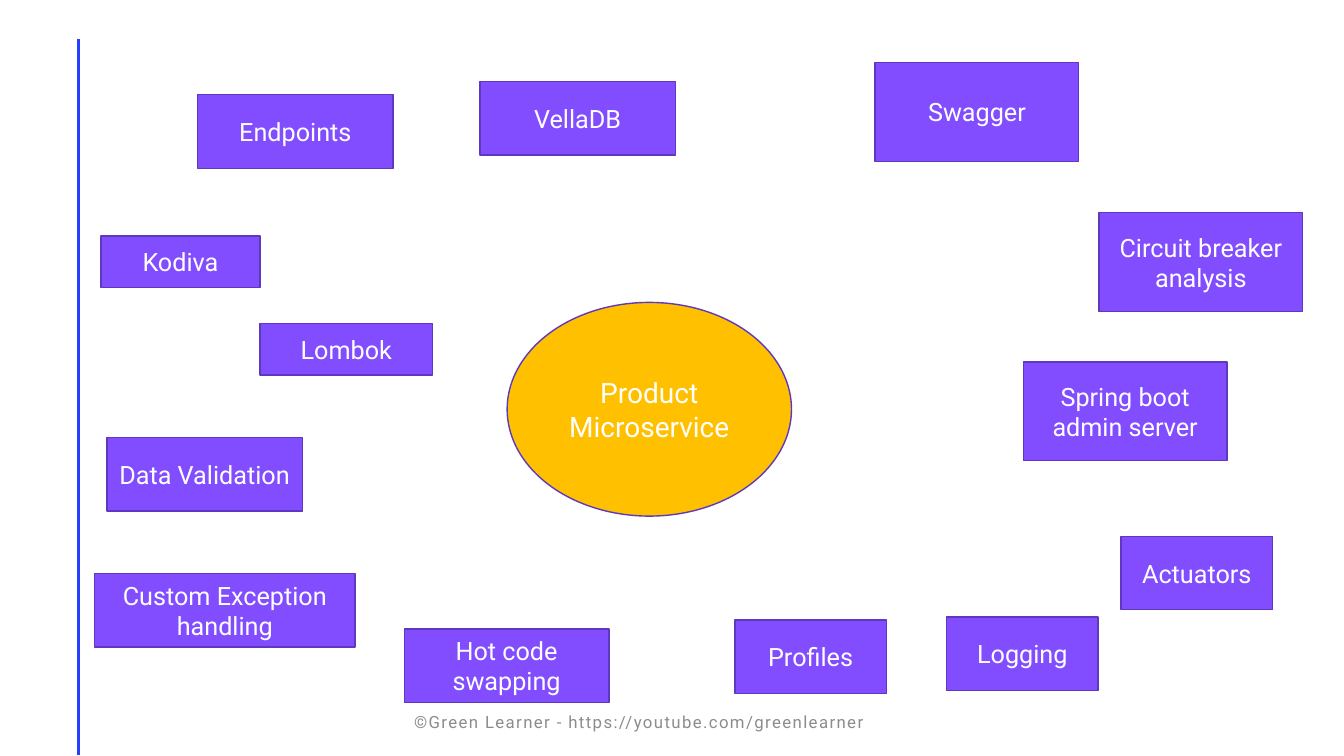
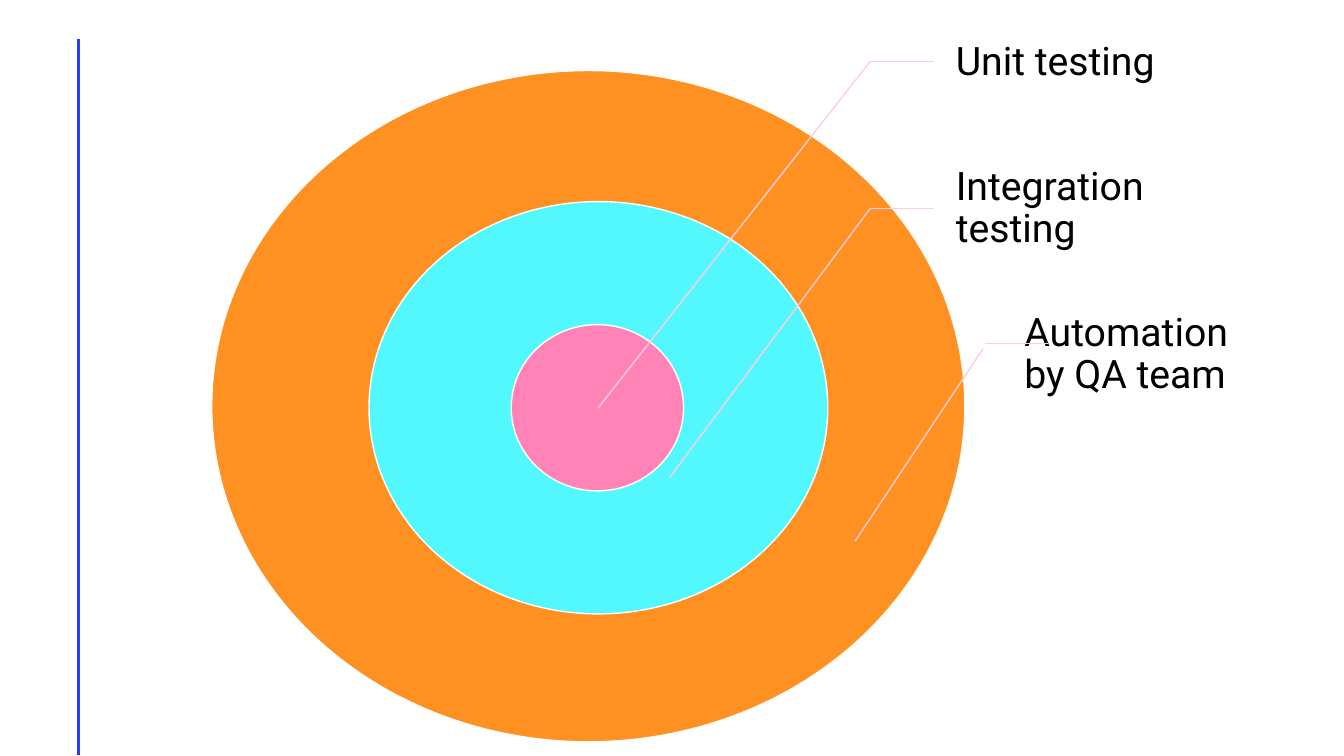
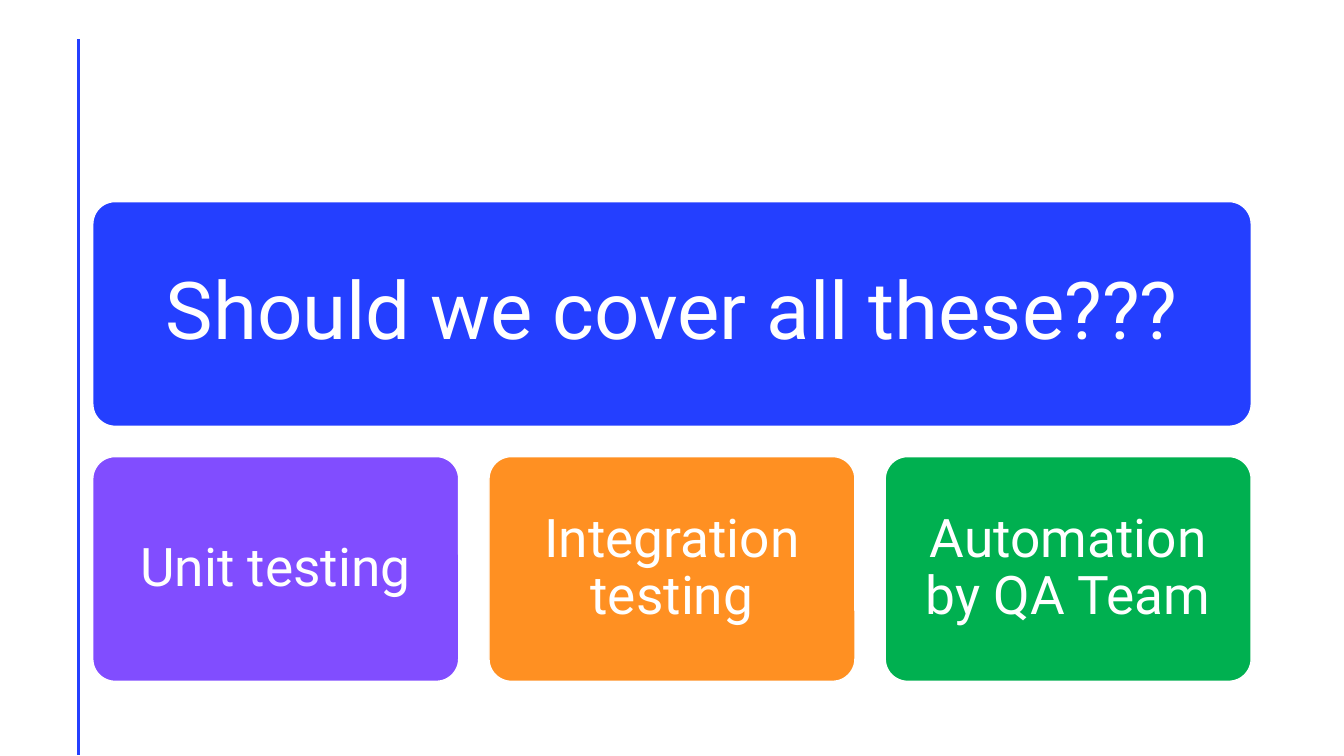
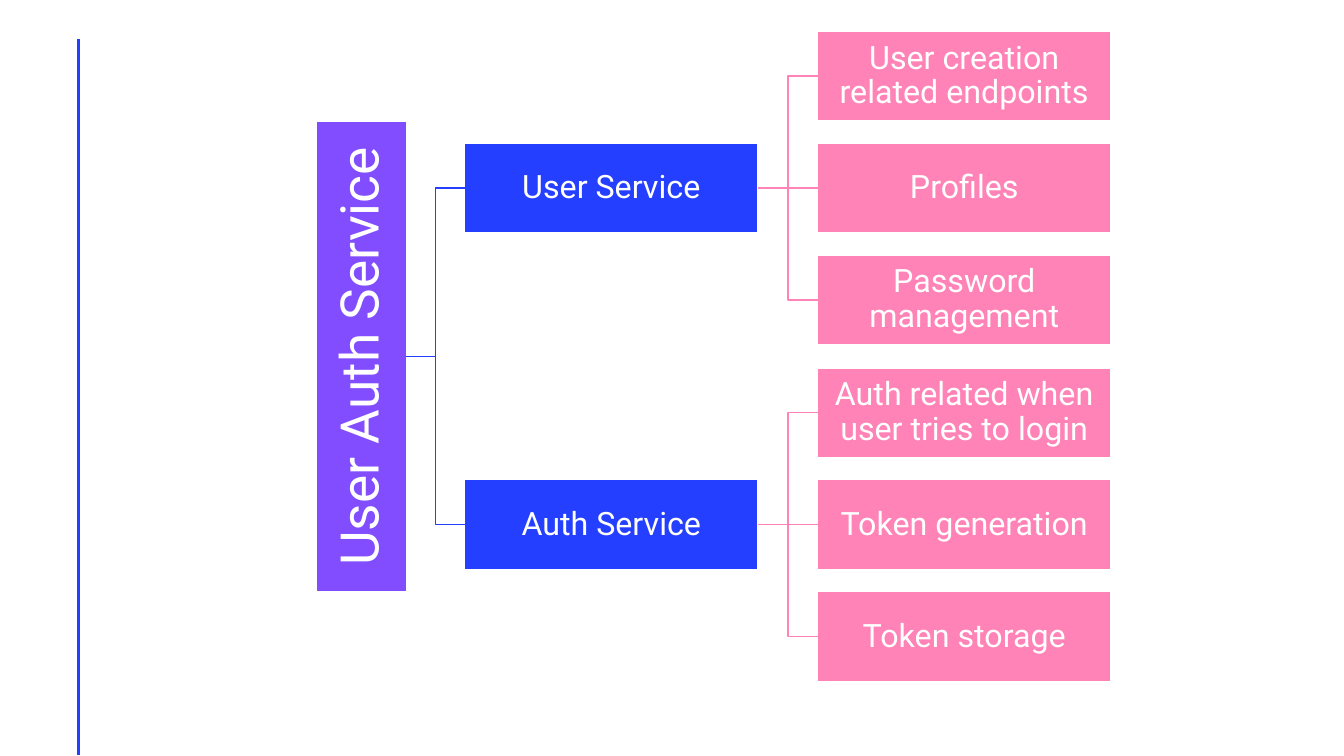
from dataclasses import dataclass
from typing import NamedTuple

from lxml.etree import SubElement
from pptx import Presentation
from pptx.dml.color import RGBColor
from pptx.enum.shapes import MSO_CONNECTOR as Connector, MSO_SHAPE as Preset
from pptx.enum.text import MSO_ANCHOR as Anchor, PP_ALIGN as Align
from pptx.oxml.ns import qn
from pptx.util import Emu, Pt

EMU_PER_PX = 9144  # 100 px to the inch


@dataclass(frozen=True)
class Theme:
    font: str = "Roboto"
    white: str = "FFFFFF"
    black: str = "000000"
    grey: str = "8C8C8C"
    blue: str = "243FFF"
    purple: str = "814DFF"
    dark_purple: str = "5F39BD"
    amber: str = "FFC000"
    orange: str = "FF9022"
    cyan: str = "53F8FF"
    pink: str = "FF83B6"
    pale_pink: str = "FFCDDE"
    green: str = "00B050"
    footer: int = 12
    topic: int = 18
    hub: int = 20
    leaf: int = 23
    label: int = 28
    card: int = 38
    question: int = 57


THEME = Theme()


class Area(NamedTuple):
    left: int
    top: int
    width: int
    height: int


class Point(NamedTuple):
    x: int
    y: int


class TextStyle(NamedTuple):
    size: int
    color: str = THEME.white
    align: Align = Align.CENTER
    spacing: float = 1.0
    insets: tuple[int, int, int, int] = (10, 5, 10, 5)
    tracking: int = 0


class Topic(NamedTuple):
    text: str
    area: Area


class Callout(NamedTuple):
    text: str
    area: Area
    bar_start: Point
    bar_end: Point
    leg_start: Point
    leg_end: Point


class Branch(NamedTuple):
    service: str
    leaves: tuple[str, ...]


def px(length: int) -> Emu:
    return Emu(length * EMU_PER_PX)


def rgb(color: str) -> RGBColor:
    return RGBColor.from_string(color)


# Shared drawing functions
def write_text(box, text: str, style: TextStyle) -> None:
    frame = box.text_frame
    frame.word_wrap = True
    frame.vertical_anchor = Anchor.MIDDLE
    (frame.margin_left, frame.margin_top,
     frame.margin_right, frame.margin_bottom) = map(px, style.insets)
    frame.text = text
    for para in frame.paragraphs:
        para.alignment = style.align
        para.line_spacing = style.spacing
        para.font.name = THEME.font
        para.font.size = Pt(style.size)
        para.font.color.rgb = rgb(style.color)
        if style.tracking:
            para.font._element.set("spc", str(style.tracking * 100))


def add_text(page, area: Area, text: str, style: TextStyle) -> None:
    write_text(page.shapes.add_textbox(*map(px, area)), text, style)


def add_box(page, preset: Preset, area: Area, fill: str, outline: str = THEME.white,
            text: str = "", style: TextStyle | None = None):
    box = page.shapes.add_shape(preset, *map(px, area))
    box.shadow.inherit = False
    box.fill.solid()
    box.fill.fore_color.rgb = rgb(fill)
    box.line.color.rgb = rgb(outline)
    box.line.width = Pt(1)
    if style:
        write_text(box, text, style)
    return box


def add_line(page, start: Point, end: Point, color: str, width: int = 1,
             kind: Connector = Connector.STRAIGHT):
    line = page.shapes.add_connector(kind, *map(px, (*start, *end)))
    line.line.color.rgb = rgb(color)
    line.line.width = Pt(width)
    SubElement(line._element.spPr, qn("a:effectLst"))
    return line


def join(page, parent, child, color: str) -> None:
    """Link the right side of parent to the left side of child."""
    level = parent.top + parent.height // 2 == child.top + child.height // 2
    kind = Connector.STRAIGHT if level else Connector.ELBOW
    line = add_line(page, Point(0, 0), Point(0, 0), color, kind=kind)
    line.begin_connect(parent, 3)
    line.end_connect(child, 1)


def add_page(deck):
    page = deck.slides.add_slide(deck.slide_layouts[6])
    add_line(page, Point(78, 39), Point(78, 749), THEME.blue, width=2)
    return page


# Slide 1: topics around the product microservice
TOPICS = (
    Topic("Endpoints", Area(196, 94, 194, 73)),
    Topic("VellaDB", Area(476, 81, 194, 73)),
    Topic("Kodiva", Area(100, 234, 158, 51)),
    Topic("Lombok", Area(258, 321, 171, 51)),
    Topic("Data Validation", Area(106, 434, 194, 73)),
    Topic("Custom Exception handling", Area(94, 569, 258, 73)),
    Topic("Hot code swapping", Area(401, 624, 203, 73)),
    Topic("Profiles", Area(729, 615, 150, 73)),
    Topic("Logging", Area(939, 612, 150, 73)),
    Topic("Actuators", Area(1112, 532, 150, 73)),
    Topic("Spring boot admin server", Area(1015, 359, 202, 98)),
    Topic("Circuit breaker analysis", Area(1090, 211, 202, 98)),
    Topic("Swagger", Area(868, 62, 202, 98)),
)


def build_topics(deck) -> None:
    page = add_page(deck)
    add_text(page, Area(361, 697, 546, 37),
             "©Green Learner - https://youtube.com/greenlearner",
             TextStyle(THEME.footer, THEME.grey, insets=(12, 12, 12, 10), tracking=1))
    add_box(page, Preset.OVAL, Area(503, 300, 282, 212), THEME.amber, THEME.dark_purple,
            "Product\nMicroservice", TextStyle(THEME.hub))
    for topic in TOPICS:
        add_box(page, Preset.RECTANGLE, topic.area, THEME.purple, THEME.dark_purple,
                topic.text, TextStyle(THEME.topic))


# Slide 2: nested rings of testing
RINGS = (
    (Area(210, 70, 747, 666), THEME.orange),
    (Area(366, 200, 455, 409), THEME.cyan),
    (Area(507, 322, 171, 165), THEME.pink),
)
CALLOUTS = (
    Callout("Unit testing", Area(926, -11, 250, 146),
            Point(863, 61), Point(926, 61), Point(863, 61), Point(593, 405)),
    Callout("Integration testing", Area(926, 134, 250, 146),
            Point(863, 207), Point(926, 207), Point(863, 207), Point(664, 474)),
    Callout("Automation by QA team", Area(994, 279, 250, 146),
            Point(977, 341), Point(1039, 341), Point(975, 346), Point(848, 537)),
)


def build_rings(deck) -> None:
    page = add_page(deck)
    for area, color in RINGS:
        add_box(page, Preset.OVAL, area, color)
    style = TextStyle(THEME.label, THEME.black, Align.LEFT, 0.9, (22, 4, 4, 4))
    for callout in CALLOUTS:
        add_text(page, callout.area, callout.text, style)
        add_line(page, callout.bar_start, callout.bar_end, THEME.pale_pink)
        add_line(page, callout.leg_start, callout.leg_end, THEME.pale_pink)


# Slide 3: one question over three cards
CARDS = (
    ("Unit testing", THEME.purple),
    ("Integration testing", THEME.orange),
    ("Automation by QA Team", THEME.green),
)


def build_question(deck) -> None:
    page = add_page(deck)
    left, top, width, height, gap = 92, 200, 1149, 223, 30
    card_width = (width - gap * (len(CARDS) - 1)) // len(CARDS)
    panels = [(Area(left, top, width, height), "Should we cover all these???",
               THEME.blue, THEME.question, 24)]
    for column, (text, color) in enumerate(CARDS):
        area = Area(left + column * (card_width + gap), top + height + gap,
                    card_width, height)
        panels.append((area, text, color, THEME.card, 16))
    for area, text, color, size, inset in panels:
        style = TextStyle(size, spacing=0.9, insets=(inset,) * 4)
        panel = add_box(page, Preset.ROUNDED_RECTANGLE, area, color,
                        text=text, style=style)
        panel.adjustments[0] = 0.1


# Slide 4: tree of services
BRANCHES = (
    Branch("User Service",
           ("User creation related endpoints", "Profiles", "Password management")),
    Branch("Auth Service",
           ("Auth related when user tries to login", "Token generation", "Token storage")),
)


def build_tree(deck) -> None:
    page = add_page(deck)
    service_left, leaf_left, first_top = 461, 811, 31
    width, height, step = 291, 89, 111.2
    node_style = TextStyle(THEME.leaf, spacing=0.9, insets=(2,) * 4)

    def add_node(left: int, row: int, color: str, text: str):
        area = Area(left, first_top + round(row * step), width, height)
        return add_box(page, Preset.RECTANGLE, area, color, text=text, style=node_style)

    root = add_box(page, Preset.RECTANGLE, Area(314, 120, height, 467), THEME.purple,
                   text="User Auth Service",
                   style=TextStyle(THEME.card, spacing=0.9, insets=(3,) * 4))
    root._element.txBody.bodyPr.set("vert", "vert270")
    for number, branch in enumerate(BRANCHES):
        first_row = number * len(branch.leaves)
        middle_row = first_row + len(branch.leaves) // 2
        service = add_node(service_left, middle_row, THEME.blue, branch.service)
        join(page, root, service, THEME.blue)
        for row, text in enumerate(branch.leaves, first_row):
            leaf = add_node(leaf_left, row, THEME.pink, text)
            join(page, service, leaf, THEME.pink)


def main() -> None:
    deck = Presentation()
    deck.slide_width, deck.slide_height = px(1333), px(750)
    for build in (build_topics, build_rings, build_question, build_tree):
        build(deck)
    deck.save("out.pptx")


if __name__ == "__main__":
    main()
